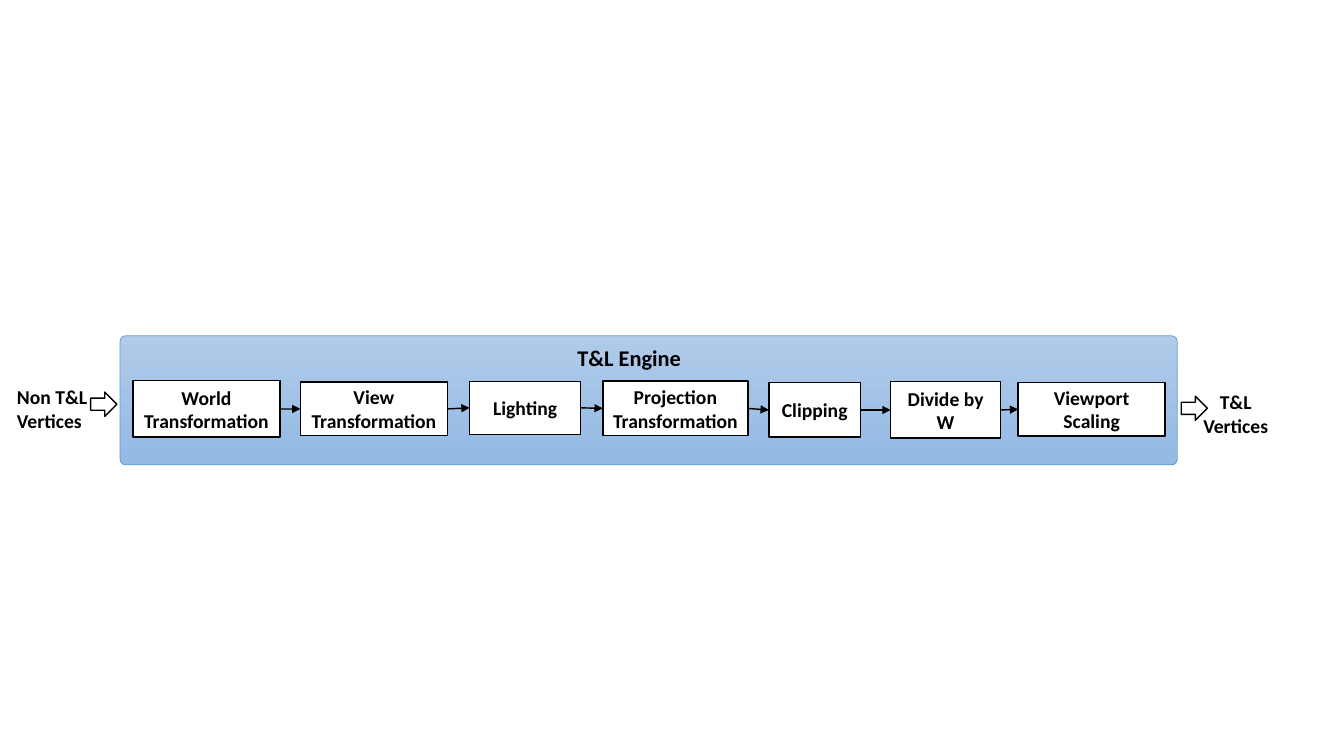
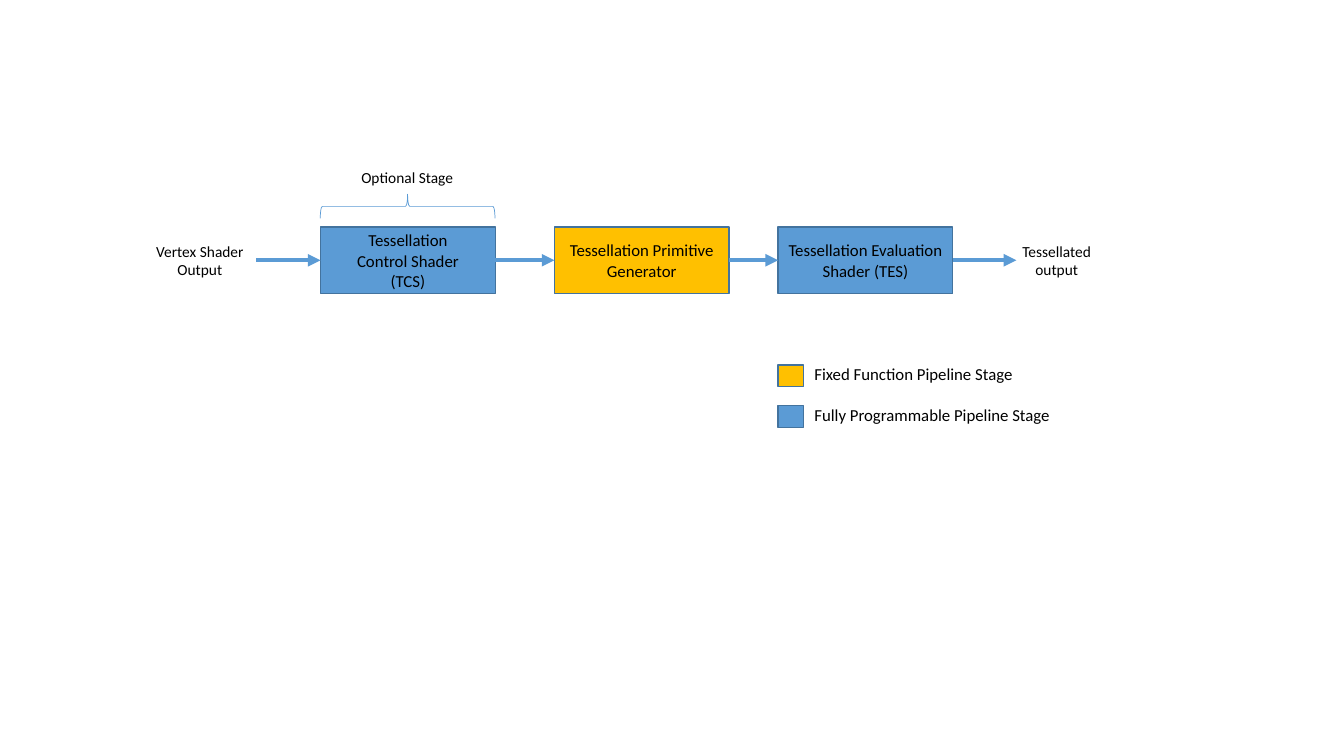
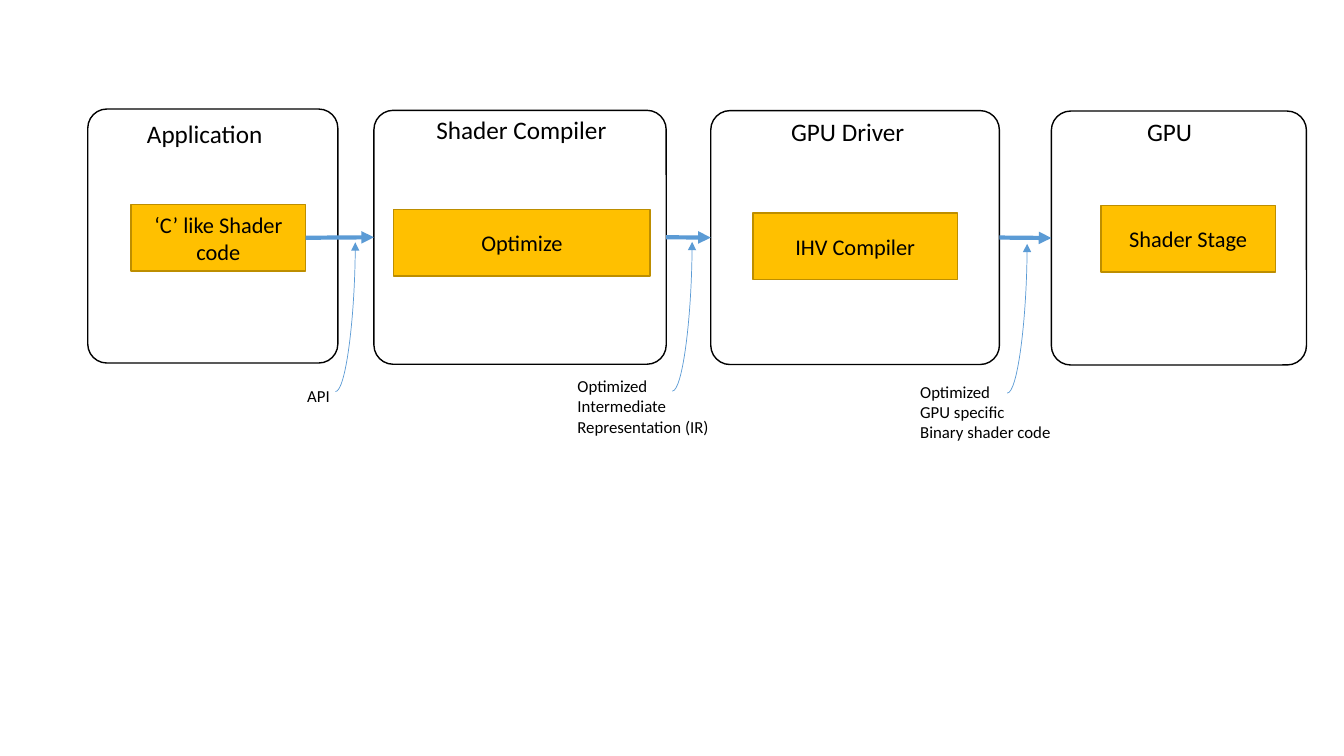
from dataclasses import dataclass
from typing import NamedTuple

from pptx import Presentation
from pptx.dml.color import RGBColor
from pptx.enum.shapes import MSO_CONNECTOR, MSO_SHAPE
from pptx.enum.text import MSO_ANCHOR, PP_ALIGN
from pptx.oxml.ns import qn
from pptx.oxml.xmlchemy import OxmlElement
from pptx.util import Pt

RECTANGLE = MSO_SHAPE.RECTANGLE
ROUNDED = MSO_SHAPE.ROUNDED_RECTANGLE
BLOCK_ARROW = MSO_SHAPE.RIGHT_ARROW
BRACE = MSO_SHAPE.RIGHT_BRACE
STRAIGHT = MSO_CONNECTOR.STRAIGHT
CURVE = MSO_CONNECTOR.CURVE
LEFT = PP_ALIGN.LEFT
CENTER = PP_ALIGN.CENTER
TOP = MSO_ANCHOR.TOP
MIDDLE = MSO_ANCHOR.MIDDLE
LEFT_SITE, RIGHT_SITE = 1, 3
BLANK_LAYOUT = 6


@dataclass(frozen=True)
class Theme:
    font: str = "Calibri"
    black: str = "000000"
    white: str = "FFFFFF"
    blue: str = "5B9BD5"
    blue_edge: str = "43739E"
    gold: str = "FFC000"
    gold_edge: str = "BD8E00"
    engine_top: str = "B1CBE9"
    engine_bottom: str = "93B9E4"
    caption: float = 11
    small: float = 12
    body: float = 14
    large: float = 16
    heading: float = 18
    hairline: float = 0.5
    outline: float = 1
    flow: float = 3


THEME = Theme()


class Area(NamedTuple):
    left: float
    top: float
    width: float
    height: float


class Point(NamedTuple):
    x: float
    y: float


@dataclass(frozen=True)
class Look:
    """Fill and outline of a shape; None leaves that part out."""
    fill: str | None
    line: str | None = None
    weight: float = THEME.outline


@dataclass(frozen=True)
class Type:
    size: float
    bold: bool = False
    align: PP_ALIGN = LEFT
    anchor: MSO_ANCHOR = TOP


@dataclass(frozen=True)
class Block:
    text: str
    area: Area


PLAIN = Look(THEME.white)
OUTLINED = Look(THEME.white, THEME.black)
FIXED = Look(THEME.gold, THEME.blue_edge)
PROGRAMMABLE = Look(THEME.blue, THEME.blue_edge)
TASK = Look(THEME.gold, THEME.gold_edge)
BRACE_LOOK = Look(None, THEME.blue, THEME.hairline)

STAGE_TYPE = Type(THEME.body, True, CENTER, MIDDLE)
SHADER_TYPE = Type(THEME.small, False, CENTER, MIDDLE)
TASK_TYPE = Type(THEME.large, False, CENTER, MIDDLE)


def rgb(value: str) -> RGBColor:
    return RGBColor.from_string(value)


def write(shape, text: str, style: Type, wrap: bool = True) -> None:
    frame = shape.text_frame
    frame.text = text
    frame.word_wrap = wrap
    frame.vertical_anchor = style.anchor
    for para in frame.paragraphs:
        para.alignment = style.align
        para.font.name = THEME.font
        para.font.size = Pt(style.size)
        para.font.bold = style.bold
        para.font.color.rgb = rgb(THEME.black)


def add_box(page, area: Area, look: Look, text: str = "", style: Type = STAGE_TYPE,
            kind=RECTANGLE, corner: float | None = None):
    box = page.shapes.add_shape(kind, *map(Pt, area))
    box.shadow.inherit = False
    if look.fill:
        box.fill.solid()
        box.fill.fore_color.rgb = rgb(look.fill)
    else:
        box.fill.background()
    if look.line:
        box.line.color.rgb = rgb(look.line)
        box.line.width = Pt(look.weight)
    else:
        box.line.fill.background()
    if corner is not None:
        box.adjustments[0] = corner
    if text:
        write(box, text, style)
    return box


def add_label(page, block: Block, style: Type, wrap: bool = False) -> None:
    label = page.shapes.add_textbox(*map(Pt, block.area))
    write(label, block.text, style, wrap)


def add_arrow(page, start: Point, end: Point, color: str, weight: float, kind=STRAIGHT):
    arrow = page.shapes.add_connector(kind, *map(Pt, (*start, *end)))
    arrow.line.color.rgb = rgb(color)
    arrow.line.width = Pt(weight)
    properties = arrow.element.spPr
    head = OxmlElement("a:tailEnd")
    head.set("type", "triangle")
    properties.find(qn("a:ln")).append(head)
    properties.append(OxmlElement("a:effectLst"))
    if kind == CURVE:
        properties.find(qn("a:prstGeom")).set("prst", "curvedConnector2")
    return arrow


def link(page, source, target, color: str, weight: float) -> None:
    """Arrow from the right side of one shape to the left side of the next."""
    start = Point(source.left.pt + source.width.pt, source.top.pt + source.height.pt / 2)
    end = Point(target.left.pt, target.top.pt + target.height.pt / 2)
    arrow = add_arrow(page, start, end, color, weight)
    arrow.begin_connect(source, RIGHT_SITE)
    arrow.end_connect(target, LEFT_SITE)


def chain(page, boxes: list, color: str, weight: float) -> None:
    for source, target in zip(boxes, boxes[1:]):
        link(page, source, target, color, weight)


def build_engine(page) -> None:
    # Input label and engine panel
    add_box(page, Area(5, 271.5, 105, 41), PLAIN, "Non T&L\nVertices",
            Type(THEME.body, True))
    panel = add_box(page, Area(85.7, 239.8, 755.3, 92.2),
                    Look(THEME.white, THEME.blue, THEME.hairline),
                    kind=ROUNDED, corner=0.045)
    panel.fill.gradient()
    panel.fill.gradient_angle = 270
    for stop, color in zip(panel.fill.gradient_stops,
                           (THEME.engine_top, THEME.engine_bottom)):
        stop.color.rgb = rgb(color)

    # Stages
    stages = (
        Block("World Transformation", Area(95, 272, 105, 40.3)),
        Block("View Transformation", Area(214.6, 273, 105, 38.2)),
        Block("Lighting", Area(335.5, 272.3, 79.2, 38)),
        Block("Projection Transformation", Area(430.6, 272.3, 103.7, 38.9)),
        Block("Clipping", Area(549.2, 273.4, 65.5, 38.9)),
        Block("Divide by W", Area(636.2, 272.7, 78.5, 40.3)),
        Block("Viewport\nScaling", Area(727.3, 273.4, 105, 38)),
    )
    boxes = [add_box(page, stage.area, OUTLINED, stage.text, STAGE_TYPE)
             for stage in stages]
    chain(page, boxes, THEME.black, THEME.outline)

    # Output label, block arrows and heading
    add_box(page, Area(842, 275, 81.4, 41), PLAIN, "T&L\nVertices",
            Type(THEME.body, True, CENTER))
    for left, top in ((64.8, 280.1), (843.8, 283)):
        add_box(page, Area(left, top, 18.7, 17.3), OUTLINED, kind=BLOCK_ARROW)
    add_label(page, Block("T&L Engine", Area(405.4, 242.6, 89.3, 26.6)),
              Type(THEME.large, True))


def build_tessellation(page) -> None:
    # Stages
    top, width, height = 162.2, 124.8, 47.5
    stages = (
        (229, "Tessellation\nControl Shader\n(TCS)", PROGRAMMABLE),
        (396, "Tessellation Primitive Generator", FIXED),
        (555.8, "Tessellation Evaluation Shader (TES)", PROGRAMMABLE),
    )
    boxes = [add_box(page, Area(left, top, width, height), look, text, SHADER_TYPE)
             for left, text, look in stages]
    chain(page, boxes, THEME.blue, THEME.flow)

    # Arrows into and out of the pipeline
    middle = top + height / 2
    for start, end in ((183, 229), (680.6, 726)):
        add_arrow(page, Point(start, middle), Point(end, middle), THEME.blue, THEME.flow)

    # Optional stage mark and end labels
    brace = add_box(page, Area(282.5, 85, 17.3, 124.8), BRACE_LOOK, kind=BRACE)
    brace.rotation = 270
    for block in (
        Block("Optional Stage", Area(250.6, 116.6, 80.6, 20.9)),
        Block("Vertex Shader\nOutput", Area(102.5, 169.2, 80.6, 33.8)),
        Block("Tessellated\noutput", Area(721, 169.2, 67.7, 33.8)),
    ):
        add_label(page, block, Type(THEME.caption, align=CENTER))

    # Legend
    legend = (
        ("Fixed Function Pipeline Stage", FIXED, 157.7),
        ("Fully Programmable Pipeline Stage", PROGRAMMABLE, 184.3),
    )
    for row, (text, look, text_width) in enumerate(legend):
        row_top = 260.6 + row * 29.2
        add_box(page, Area(555.8, row_top, 18.2, 15.4), look)
        add_label(page, Block(text, Area(574.6, row_top - 4.5, text_width, 21.6)),
                  Type(THEME.small))


def build_compilation(page) -> None:
    # Frames of the four parties
    frames = [
        add_box(page, Area(left, top, width, 181.4), OUTLINED,
                kind=ROUNDED, corner=0.076)
        for left, top, width in ((62.7, 77.9, 178.6), (267.1, 78.8, 208.8),
                                 (507.7, 79, 206.2), (751, 79.3, 182.2))
    ]

    # Task inside each frame
    tasks = (
        Block("‘C’ like Shader code", Area(93.6, 146.1, 124.8, 47.5)),
        Block("Optimize", Area(281.3, 149.8, 183, 47.5)),
        Block("IHV Compiler", Area(537.8, 152.1, 146.2, 47.5)),
        Block("Shader Stage", Area(786.3, 146.8, 124.8, 47.5)),
    )
    boxes = [add_box(page, task.area, TASK, task.text, TASK_TYPE) for task in tasks]
    chain(page, [boxes[0], frames[1]], THEME.blue, THEME.flow)
    chain(page, frames[1:], THEME.blue, THEME.flow)

    # Frame headings
    for heading in (
        Block("Application", Area(97.9, 80.9, 97.9, 28.8)),
        Block("Shader Compiler", Area(304.6, 78, 137.5, 28.8)),
        Block("GPU Driver", Area(558, 79.5, 96.5, 28.8)),
        Block("GPU", Area(812.2, 79.5, 46.8, 28.8)),
    ):
        add_label(page, heading, Type(THEME.heading))

    # Notes on what passes between the frames
    notes = (
        (Block("API", Area(212.4, 271.7, 117.4, 21.6)), Point(239.6, 279.7)),
        (Block("Optimized\nIntermediate Representation (IR)",
               Area(405.4, 265, 117.4, 51.1)), Point(480.2, 279.4)),
        (Block("Optimized\nGPU specific\nBinary shader code",
               Area(650.2, 269, 117.4, 51.1)), Point(719.5, 280.8)),
    )
    for note, start in notes:
        add_label(page, note, Type(THEME.small), wrap=True)
        add_arrow(page, start, Point(start.x + 14.2, start.y - 106.6),
                  THEME.blue, THEME.hairline, CURVE)


def main() -> None:
    deck = Presentation()
    deck.slide_width, deck.slide_height = Pt(960), Pt(540)
    for build in (build_engine, build_tessellation, build_compilation):
        build(deck.slides.add_slide(deck.slide_layouts[BLANK_LAYOUT]))
    deck.save("out.pptx")


if __name__ == "__main__":
    main()
